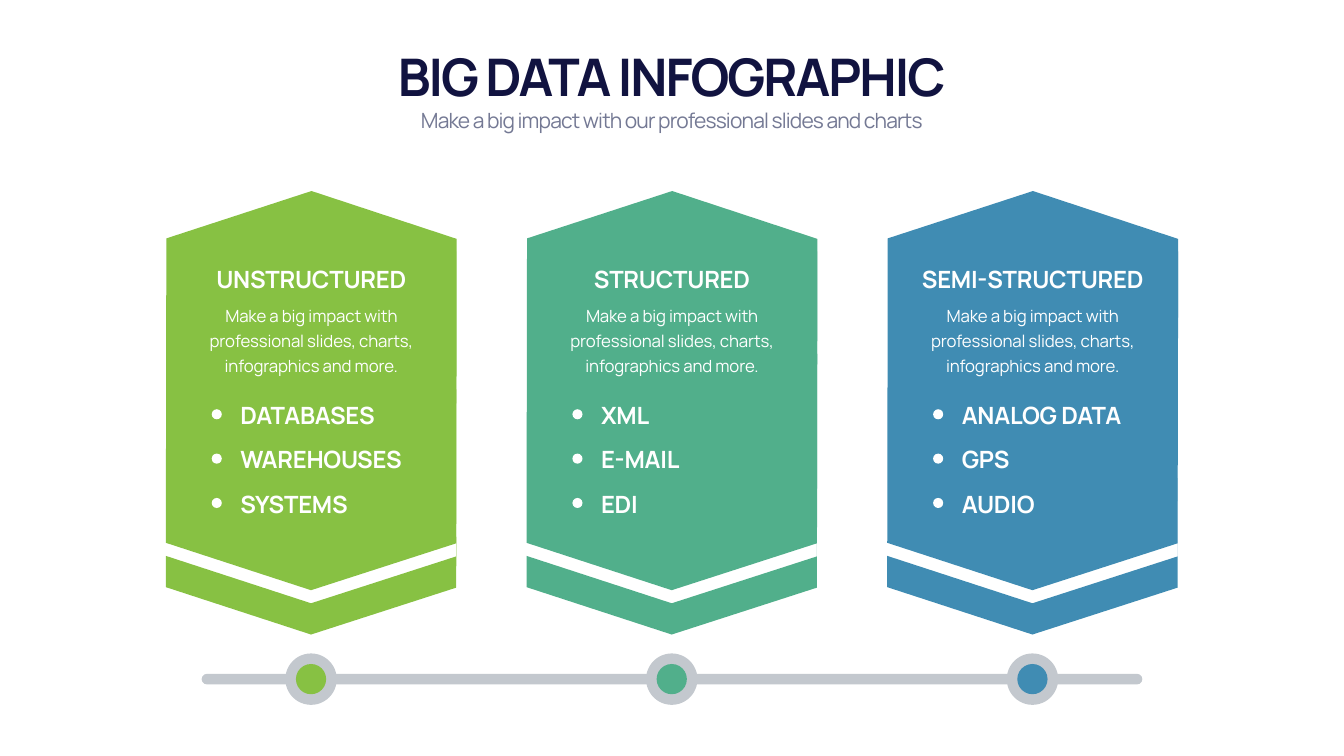
import pptx
import pptx.util
import pptx.dml.color
import pptx.enum.shapes
import pptx.enum.text
from pptx.util import Inches, Pt

SHAPE = pptx.enum.shapes.MSO_SHAPE
ALIGN = pptx.enum.text.PP_ALIGN
ANCHOR = pptx.enum.text.MSO_ANCHOR
FIT = pptx.enum.text.MSO_AUTO_SIZE

FONT = "Manrope"
COLORS = {
    "navy": "111340",
    "slate": "747994",
    "white": "FFFFFF",
    "gray": "C3C8CE",
    "green": "87C143",
    "teal": "51AF8B",
    "blue": "408CB3",
}
BLURB = "Make a big impact with professional slides, charts, infographics and more."
CARDS = [
    ("green", "UNSTRUCTURED", ["DATABASES", "WAREHOUSES", "SYSTEMS"]),
    ("teal", "STRUCTURED", ["XML", "E-MAIL", "EDI"]),
    ("blue", "SEMI-STRUCTURED", ["ANALOG DATA", "GPS", "AUDIO"]),
]
LEFT, TOP = 3.29, 3.79
STEP = (17.6 - LEFT) / 2
MID = 2.88  # from a card's left edge to its point
BODY = [(5.76, 6.99), (5.77, 0.95), (2.89, 0), (0.01, 0.94), (0, 6.98), (2.88, 7.92)]
FOLD = [(5.77, 1.2), (5.76, 7.25), (2.88, 8.18), (0, 7.24), (0, 7.86),
        (2.88, 8.8), (5.76, 7.87)]


def rgb(name):
    return pptx.dml.color.RGBColor.from_string(COLORS[name])


def paint(shape, color):
    shape.shadow.inherit = False
    shape.fill.solid()
    shape.fill.fore_color.rgb = rgb(color)
    shape.line.fill.background()


def write(slide, text, box, size, color="white", bold=False, space=-0.3,
          lead=None, align=ALIGN.CENTER, anchor=ANCHOR.TOP, shape=None):
    """Put formatted text in a new text box, or in the shape given."""
    x, y, w, h = map(Inches, box)
    if shape is None:
        shape = slide.shapes.add_textbox(x, y, w, h)
    shape.left, shape.top, shape.width, shape.height = x, y, w, h
    frame = shape.text_frame
    frame.word_wrap = True
    frame.auto_size = FIT.SHAPE_TO_FIT_TEXT
    frame.vertical_anchor = anchor
    para = frame.paragraphs[0]
    para.alignment = align
    para.line_spacing = Pt(lead) if lead else 1.0
    run = para.add_run()
    run.text = text
    run.font.name = FONT
    run.font.size = Pt(size)
    run.font.bold = bold
    run.font.color.rgb = rgb(color)
    run._r.get_or_add_rPr().set("spc", str(round(space * 100)))


def dot(slide, x, y, size, color):
    """Draw a disc centred on x, y."""
    shape = slide.shapes.add_shape(
        SHAPE.OVAL, Inches(x - size / 2), Inches(y - size / 2),
        Inches(size), Inches(size))
    paint(shape, color)


def outline(slide, x, y, points, color):
    spots = [(Inches(x + dx), Inches(y + dy)) for dx, dy in points]
    path = slide.shapes.build_freeform(*spots[0], scale=1.0)
    path.add_line_segments(spots[1:], close=True)
    paint(path.convert_to_shape(), color)


def header(slide, x, y, w):
    write(slide, "BIG DATA INFOGRAPHIC", (x, y, w, 1.4), 74, "navy", bold=True,
          space=-2.9, lead=94, anchor=ANCHOR.BOTTOM, shape=slide.shapes.title)
    write(slide, "Make a big impact with our professional slides and charts",
          (x, y + 1.24, w, 0.67), 30, "slate", space=-1.2, lead=42)


def card(slide, x, y, color, name, items):
    outline(slide, x, y, FOLD, color)
    outline(slide, x, y, BODY, color)
    write(slide, name, (x + 0.43, y + 1.4, 4.91, 0.67), 34, bold=True,
          anchor=ANCHOR.BOTTOM)
    write(slide, BLURB, (x + 0.43, y + 2.12, 4.91, 1.59), 24, space=-0.2, lead=36)
    for i, item in enumerate(items):
        row = y + 4.11 + i * 0.88
        dot(slide, x + 1.01, row + 0.32, 0.2, "white")
        write(slide, item, (x + 1.38, row, 3.96, 0.67), 34, bold=True,
              align=ALIGN.LEFT)


def timeline(slide, x, y, w, h):
    bar = slide.shapes.add_shape(
        SHAPE.ROUNDED_RECTANGLE, Inches(x), Inches(y), Inches(w), Inches(h))
    bar.adjustments[0] = 0.5
    paint(bar, "gray")
    for i, (color, *_) in enumerate(CARDS):
        spot = LEFT + MID + i * STEP
        dot(slide, spot, y + h / 2, 1.02, "gray")
        dot(slide, spot, y + h / 2, 0.6, color)


def main():
    deck = pptx.Presentation()
    deck.slide_width, deck.slide_height = Inches(26.66), Inches(15)
    slide = deck.slides.add_slide(deck.slide_layouts[5])
    header(slide, 1.66, 0.77, 23.33)
    for i, (color, name, items) in enumerate(CARDS):
        card(slide, LEFT + i * STEP, TOP, color, name, items)
    timeline(slide, 4, 13.37, 18.66, 0.21)
    deck.save("out.pptx")


if __name__ == "__main__":
    main()
